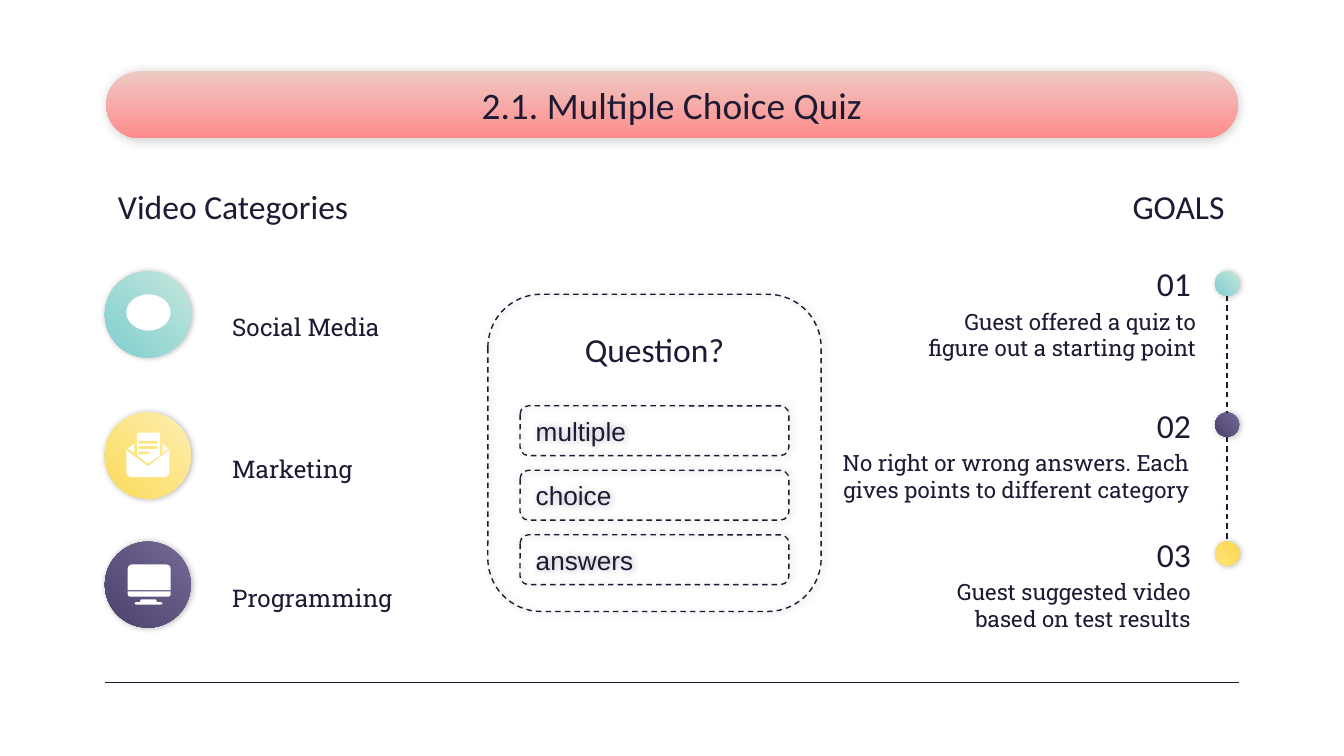
from lxml.etree import SubElement
from pptx import Presentation
from pptx.dml.color import RGBColor
from pptx.enum.dml import MSO_LINE
from pptx.enum.shapes import MSO_CONNECTOR, MSO_SHAPE
from pptx.enum.text import MSO_ANCHOR, MSO_AUTO_SIZE, PP_ALIGN
from pptx.oxml.ns import qn
from pptx.util import Inches, Pt

INK = RGBColor(0x1F, 0x1A, 0x33)
BLACK = RGBColor(0, 0, 0)
WHITE = RGBColor(0xFF, 0xFF, 0xFF)
LETTER_YELLOW = RGBColor(0xFC, 0xE5, 0x87)
CORAL = (RGBColor(0xEE, 0xC9, 0xC3), RGBColor(0xFF, 0x8C, 0x8C))
TEAL = (RGBColor(0xD4, 0xEB, 0xDE), RGBColor(0x70, 0xCA, 0xCD))
YELLOW = (RGBColor(0xFF, 0xF3, 0xC4), RGBColor(0xFA, 0xD6, 0x47))
PURPLE = (RGBColor(0x7E, 0x71, 0x9E), RGBColor(0x42, 0x3A, 0x64))
GOLD = (RGBColor(0xFA, 0xD6, 0x47), RGBColor(0xFF, 0xE5, 0x82))

HEADING_FONT, BODY_FONT, ANSWER_FONT = "Calibri", "Roboto Slab", "Arial"
ROW_TOPS = (2.02, 3.07, 4.03)
DOT = 0.18
CATEGORIES = (("Social Media", TEAL), ("Marketing", YELLOW), ("Programming", PURPLE))
# description, left, width, dot colours
GOALS = (
    ("Guest offered a quiz to figure out a starting point", 6.66, 2.34, TEAL),
    ("No right or wrong answers. Each gives points to different category", 6.1, 2.85, PURPLE),
    ("Guest suggested video based on test results", 6.89, 2.07, GOLD),
)


def add_plain_shape(page, kind, left, top, width, height, color=None):
    shape = page.shapes.add_shape(kind, Inches(left), Inches(top), Inches(width), Inches(height))
    shape.shadow.inherit = False
    shape.line.fill.background()
    if color is None:
        shape.fill.background()
    else:
        shape.fill.solid()
        shape.fill.fore_color.rgb = color
    return shape


def add_polygon(page, points, color):
    corners = [(Inches(x), Inches(y)) for x, y in points]
    builder = page.shapes.build_freeform(*corners[0])
    builder.add_line_segments(corners[1:], close=True)
    shape = builder.convert_to_shape()
    shape.shadow.inherit = False
    shape.fill.solid()
    shape.fill.fore_color.rgb = color
    shape.line.fill.background()


def set_gradient(shape, colors):
    """Blend from the first colour at the top to the second at the bottom."""
    shape.fill.gradient()
    shape.fill.gradient_angle = 270
    for stop, color in zip(shape.fill.gradient_stops, colors):
        stop.color.rgb = color


def set_shadow(shape, color=BLACK, alpha=30, blur=3.4, direction=9):
    effects = shape._element.spPr.find(qn("a:effectLst"))
    shadow = SubElement(effects, qn("a:outerShdw"), blurRad=str(Pt(blur)), dist=str(Pt(0.8)),
                        dir=str(direction * 60000), algn="bl", rotWithShape="0")
    shade = SubElement(shadow, qn("a:srgbClr"), val=str(color))
    SubElement(shade, qn("a:alpha"), val=str(alpha * 1000))


def style_line(line, dashed):
    line.color.rgb = INK
    line.width = Pt(0.75)
    if dashed:
        line.dash_style = MSO_LINE.DASH


def add_line(page, x1, y1, x2, y2, dashed=False):
    line = page.shapes.add_connector(MSO_CONNECTOR.STRAIGHT, Inches(x1), Inches(y1),
                                     Inches(x2), Inches(y2))
    style_line(line.line, dashed)
    SubElement(line._element.spPr, qn("a:effectLst"))


def add_disc(page, left, top, size, colors):
    disc = add_plain_shape(page, MSO_SHAPE.OVAL, left, top, size, size)
    disc.rotation = 45
    set_gradient(disc, colors)
    set_shadow(disc)


def add_dashed_frame(page, left, top, width, height):
    frame = add_plain_shape(page, MSO_SHAPE.ROUNDED_RECTANGLE, left, top, width, height)
    frame.adjustments[0] = 0.168
    style_line(frame.line, dashed=True)
    set_shadow(frame, INK)
    return frame


def write(shape, text, size, font, align=PP_ALIGN.LEFT, anchor=MSO_ANCHOR.TOP,
          inset_top=0.1, inset_bottom=0.1):
    frame = shape.text_frame
    frame.word_wrap = True
    frame.auto_size = MSO_AUTO_SIZE.NONE
    frame.vertical_anchor = anchor
    frame.margin_left = frame.margin_right = Inches(0.1)
    frame.margin_top, frame.margin_bottom = Inches(inset_top), Inches(inset_bottom)
    frame.text = text
    paragraph = frame.paragraphs[0]
    paragraph.alignment = align
    paragraph.font.size = Pt(size)
    paragraph.font.name = font
    paragraph.font.color.rgb = INK


def add_text(page, text, left, top, width, height, size, font, **layout):
    box = page.shapes.add_textbox(Inches(left), Inches(top), Inches(width), Inches(height))
    write(box, text, size, font, **layout)


def add_title(page, text):
    title = page.shapes.title
    title.left, title.top = Inches(2.47), Inches(0.53)
    title.width, title.height = Inches(5.06), Inches(0.5)
    write(title, text, 20, HEADING_FONT, PP_ALIGN.CENTER, MSO_ANCHOR.MIDDLE)
    banner = add_plain_shape(page, MSO_SHAPE.ROUNDED_RECTANGLE, 0.79, 0.53, 8.42, 0.5)
    banner.adjustments[0] = 0.5
    set_gradient(banner, CORAL)
    set_shadow(banner, alpha=20, blur=5.6, direction=66)
    title._element.addprevious(banner._element)


def add_categories(page):
    add_text(page, "Video Categories", 0.78, 1.28, 2.14, 0.49, 18, HEADING_FONT)
    for top, (name, colors) in zip(ROW_TOPS, CATEGORIES):
        add_disc(page, 0.78, top, 0.64, colors)
        add_text(page, name, 1.63, top + 0.07, 1.77, 0.49, 13, BODY_FONT,
                 anchor=MSO_ANCHOR.MIDDLE, inset_top=0.2, inset_bottom=0)


def add_envelope_icon(page):
    add_polygon(page, [(0.94, 3.35), (1.1, 3.47), (1.26, 3.35), (1.26, 3.52), (1.25, 3.54),
                       (1.23, 3.55), (0.97, 3.55), (0.95, 3.54), (0.94, 3.52)], WHITE)
    add_polygon(page, [(1.21, 3.3), (1.21, 3.37), (1.25, 3.34)], WHITE)
    add_polygon(page, [(1, 3.3), (0.95, 3.34), (1, 3.37)], WHITE)
    add_polygon(page, [(1.02, 3.22), (1.19, 3.22), (1.19, 3.39), (1.1, 3.45), (1.02, 3.39)], WHITE)
    for row, width in enumerate((0.14, 0.14, 0.08)):
        add_plain_shape(page, MSO_SHAPE.ROUNDED_RECTANGLE, 1.03, 3.28 + row * 0.04,
                        width, 0.02, LETTER_YELLOW)


def add_monitor_icon(page):
    add_plain_shape(page, MSO_SHAPE.ROUND_2_SAME_RECTANGLE, 0.95, 4.2, 0.32, 0.19, WHITE)
    chin = add_plain_shape(page, MSO_SHAPE.ROUND_2_SAME_RECTANGLE, 0.95, 4.4, 0.32, 0.04, WHITE)
    chin.adjustments[0] = 0.5
    chin.rotation = 180
    add_polygon(page, [(1.05, 4.46), (1.16, 4.46), (1.17, 4.48), (1.2, 4.48), (1.21, 4.49),
                       (1.2, 4.5), (1.01, 4.5), (1, 4.49), (1.01, 4.48), (1.04, 4.48)], WHITE)


def add_question(page):
    add_dashed_frame(page, 3.63, 2.19, 2.48, 2.36)
    add_text(page, "Question?", 3.87, 2.35, 2, 0.49, 18, HEADING_FONT, align=PP_ALIGN.CENTER)
    for row, answer in enumerate(("multiple", "choice", "answers")):
        frame = add_dashed_frame(page, 3.87, 3.02 + row * 0.48, 2, 0.37)
        write(frame, answer, 14, ANSWER_FONT, anchor=MSO_ANCHOR.MIDDLE)


def add_goals(page):
    add_text(page, "GOALS", 7.07, 1.28, 2.14, 0.49, 18, HEADING_FONT, align=PP_ALIGN.RIGHT)
    for number, (top, goal) in enumerate(zip(ROW_TOPS, GOALS), start=1):
        description, left, width, colors = goal
        add_text(page, description, left, top + 0.17, width, 0.53, 12, BODY_FONT,
                 align=PP_ALIGN.RIGHT)
        add_text(page, f"{number:02}", 6.89, top - 0.16, 2.07, 0.49, 18, HEADING_FONT,
                 align=PP_ALIGN.RIGHT, inset_bottom=0)
        add_disc(page, 9.04, top, DOT, colors)
    for top, next_top in zip(ROW_TOPS, ROW_TOPS[1:]):
        add_line(page, 9.13, top + DOT, 9.13, next_top, dashed=True)


def main():
    deck = Presentation()
    deck.slide_width = Inches(10)
    deck.slide_height = deck.slide_width * 9 // 16
    page = deck.slides.add_slide(deck.slide_layouts[5])
    add_title(page, "2.1. Multiple Choice Quiz")
    add_line(page, 0.78, 5.08, 9.22, 5.08)
    add_categories(page)
    add_plain_shape(page, MSO_SHAPE.OVAL, 0.94, 2.19, 0.33, 0.27, WHITE)
    add_envelope_icon(page)
    add_monitor_icon(page)
    add_question(page)
    add_goals(page)
    deck.save("out.pptx")


if __name__ == "__main__":
    main()
